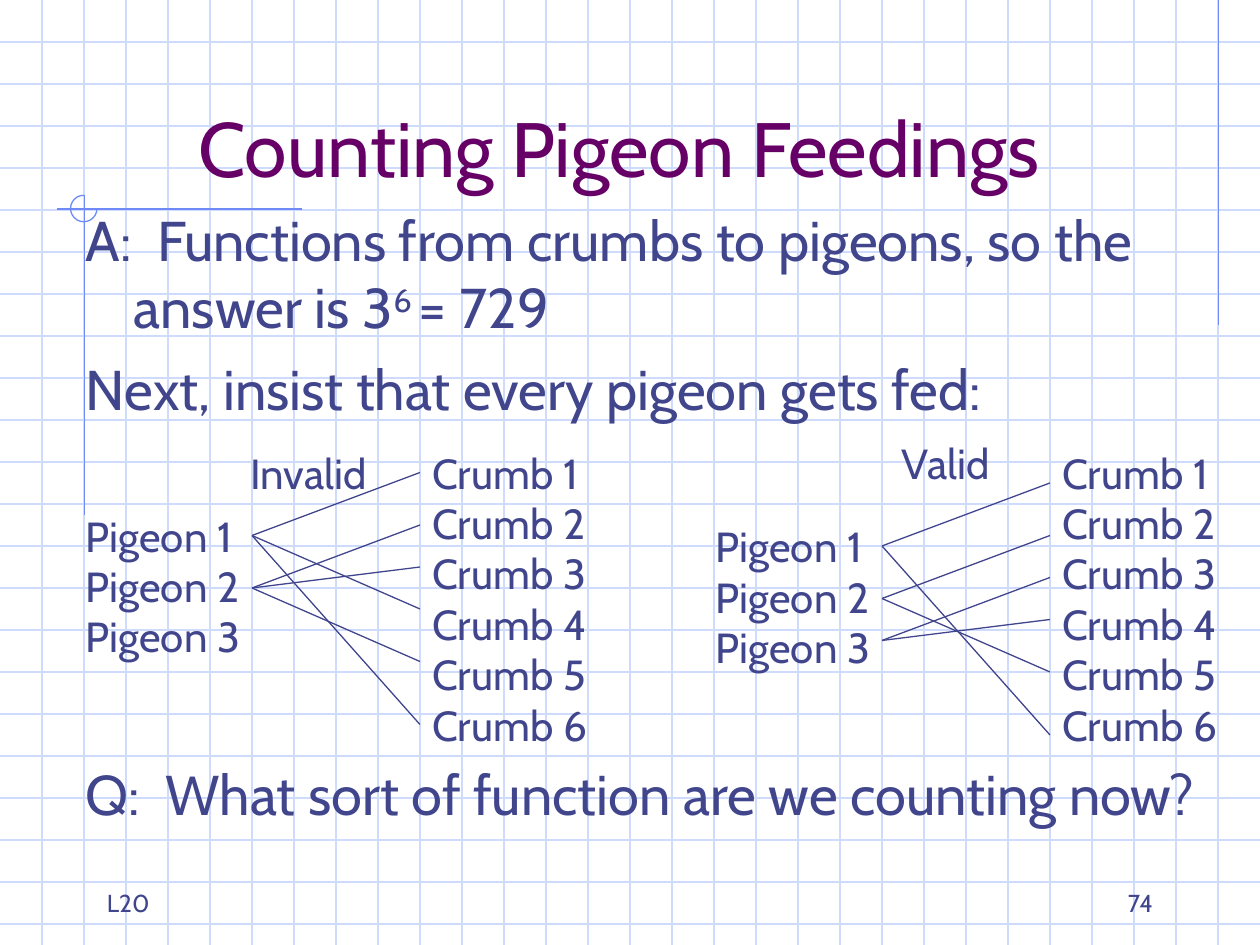
import pptx
import pptx.util
import pptx.dml.color
import pptx.enum.shapes
import pptx.enum.text
import pptx.oxml
import pptx.oxml.ns
from dataclasses import dataclass

ALIGN = pptx.enum.text.PP_ALIGN
ANCHOR = pptx.enum.text.MSO_ANCHOR


@dataclass(frozen=True)
class Theme:
    font: str = "Cabin"
    title: str = "660066"
    ink: str = "40458C"
    grid: str = "CFDBFD"
    accent: str = "6F89F7"
    title_size: int = 44
    body_size: int = 32
    label_size: int = 24
    footer_size: int = 14
    line_width: float = 0.75


T = Theme()
WIDTH, HEIGHT = 10, 7.5
CELL = 1 / 3          # pitch of the graph paper
STEP = 1 / 12         # pitch on which the diagrams are laid out

TITLE = "Counting Pigeon Feedings"
# Each paragraph: runs of (text, is superscript), space before in points
BODY = [
    ([("A:  Functions from crumbs to pigeons, so the answer is 3", False),
      ("6 ", True), ("= 729", False)], 8),
    ([("Next, insist that every pigeon gets fed:", False)], 8),
    ([("Q:  What sort of function are we counting now?", False)], 193),
]
PIGEONS = " ".join(f"Pigeon {i}" for i in range(1, 4))
CRUMBS = " ".join(f"Crumb {i}" for i in range(1, 7))

# Rows in steps from the slide's top
PIGEON_ROWS = [51, 56, 60]
CRUMB_ROWS = [45, 50, 54, 58, 63, 69]

# eaters: which pigeon gets crumb 1, 2, ... 6
PANELS = [
    dict(label="Invalid", label_box=(1.89, 3.5, 1.25, 0.5),
         left=0, drop=0, eaters=[1, 2, 2, 1, 2, 1]),
    dict(label="Valid", label_box=(7.06, 3.42, 0.96, 0.5),
         left=5, drop=1, eaters=[1, 2, 3, 3, 2, 1]),
]
FOOTERS = [
    ("L20", 0.75, ALIGN.LEFT),
    ("74", 7.17, ALIGN.RIGHT),
]
MARGIN_LINES = [
    (9.67, 0, 9.67, 2.58),
    (2.4, 1.66, 0.45, 1.66),
    (0.67, 1.55, 0.67, 4.09),
]
CIRCLE_BOX = (0.56, 1.55, 0.21, 0.21)


def inches(*values):
    return [pptx.util.Inches(v) for v in values]


def rgb(color):
    return pptx.dml.color.RGBColor.from_string(color)


def write(sp, paragraphs, size, color=T.ink, align=ALIGN.LEFT,
          anchor=ANCHOR.TOP, wrap=True, hang=0):
    """Fill a shape with paragraphs given as (runs, space before)."""
    tf = sp.text_frame
    tf.word_wrap = wrap
    tf.vertical_anchor = anchor
    tf.auto_size = pptx.enum.text.MSO_AUTO_SIZE.NONE
    for i, (runs, before) in enumerate(paragraphs):
        p = tf.add_paragraph() if i else tf.paragraphs[0]
        p.alignment = align
        p.space_before = pptx.util.Pt(before)
        pPr = p._p.get_or_add_pPr()
        pPr.set("marL", str(pptx.util.Inches(hang)))
        pPr.set("indent", str(-pptx.util.Inches(hang)))
        pPr.append(pptx.oxml.parse_xml(
            f"<a:buNone {pptx.oxml.ns.nsdecls('a')}/>"))
        for text, superscript in runs:
            r = p.add_run()
            r.text = text
            r.font.name = T.font
            r.font.size = pptx.util.Pt(size)
            r.font.color.rgb = rgb(color)
            if superscript:
                r._r.get_or_add_rPr().set("baseline", "30000")


def text_box(s, box, text, size, **fmt):
    sp = s.shapes.add_textbox(*inches(*box))
    write(sp, [([(text, False)], 0)], size, **fmt)


def outline(sp, color):
    sp.line.color.rgb = rgb(color)
    sp.line.width = pptx.util.Pt(T.line_width)


def line(s, ends, color):
    cx = s.shapes.add_connector(
        pptx.enum.shapes.MSO_CONNECTOR.STRAIGHT, *inches(*ends))
    outline(cx, color)
    cx._element.spPr.append(pptx.oxml.parse_xml(
        f"<a:effectLst {pptx.oxml.ns.nsdecls('a')}/>"))


def graph_paper(s):
    for i in range(1, int(HEIGHT / CELL) + 1):
        line(s, (0, i * CELL, WIDTH, i * CELL), T.grid)
    for i in range(1, round(WIDTH / CELL)):
        line(s, (i * CELL, 0, i * CELL, HEIGHT), T.grid)
    for ends in MARGIN_LINES:
        line(s, ends, T.accent)
    arc = s.shapes.add_shape(
        pptx.enum.shapes.MSO_SHAPE.ARC, *inches(*CIRCLE_BOX))
    arc.adjustments[0] = 0
    arc.adjustments[1] = 270 * 0.6   # clockwise from right to top
    arc.fill.background()
    arc.shadow.inherit = False
    outline(arc, T.accent)


def panel(s, label, label_box, left, drop, eaters):
    text_box(s, (left + 40 * STEP, 42 * STEP, 1.58, 2.5), CRUMBS, T.label_size)
    text_box(s, (left + 7 * STEP, (48 + drop) * STEP, 1.58, 1.3),
             PIGEONS, T.label_size)
    text_box(s, label_box, label, T.label_size, wrap=False)
    for row, pigeon in zip(CRUMB_ROWS, eaters):
        line(s, (left + 24 * STEP, (PIGEON_ROWS[pigeon - 1] + drop) * STEP,
                 left + 40 * STEP, (row + drop) * STEP), T.ink)


def main():
    prs = pptx.Presentation()
    prs.slide_width, prs.slide_height = inches(WIDTH, HEIGHT)
    s = prs.slides.add_slide(prs.slide_layouts[5])
    graph_paper(s)

    title = s.shapes.title
    title.left, title.top, title.width, title.height = inches(
        2 * CELL, CELL, 8.5, 1.25)
    write(title, [([(TITLE, False)], 0)], T.title_size, color=T.title,
          align=ALIGN.CENTER, anchor=ANCHOR.BOTTOM)
    title.element.getparent().append(title.element)   # in front of the grid

    body = s.shapes.add_textbox(*inches(7 * STEP, 19 * STEP, 9.42, 5.9))
    write(body, BODY, T.body_size, hang=0.38)
    for spec_ in PANELS:
        panel(s, **spec_)
    for text, left, align in FOOTERS:
        text_box(s, (left, 82 * STEP, 2.08, 0.5), text, T.footer_size,
                 align=align, anchor=ANCHOR.BOTTOM)
    prs.save("out.pptx")


if __name__ == "__main__":
    main()
